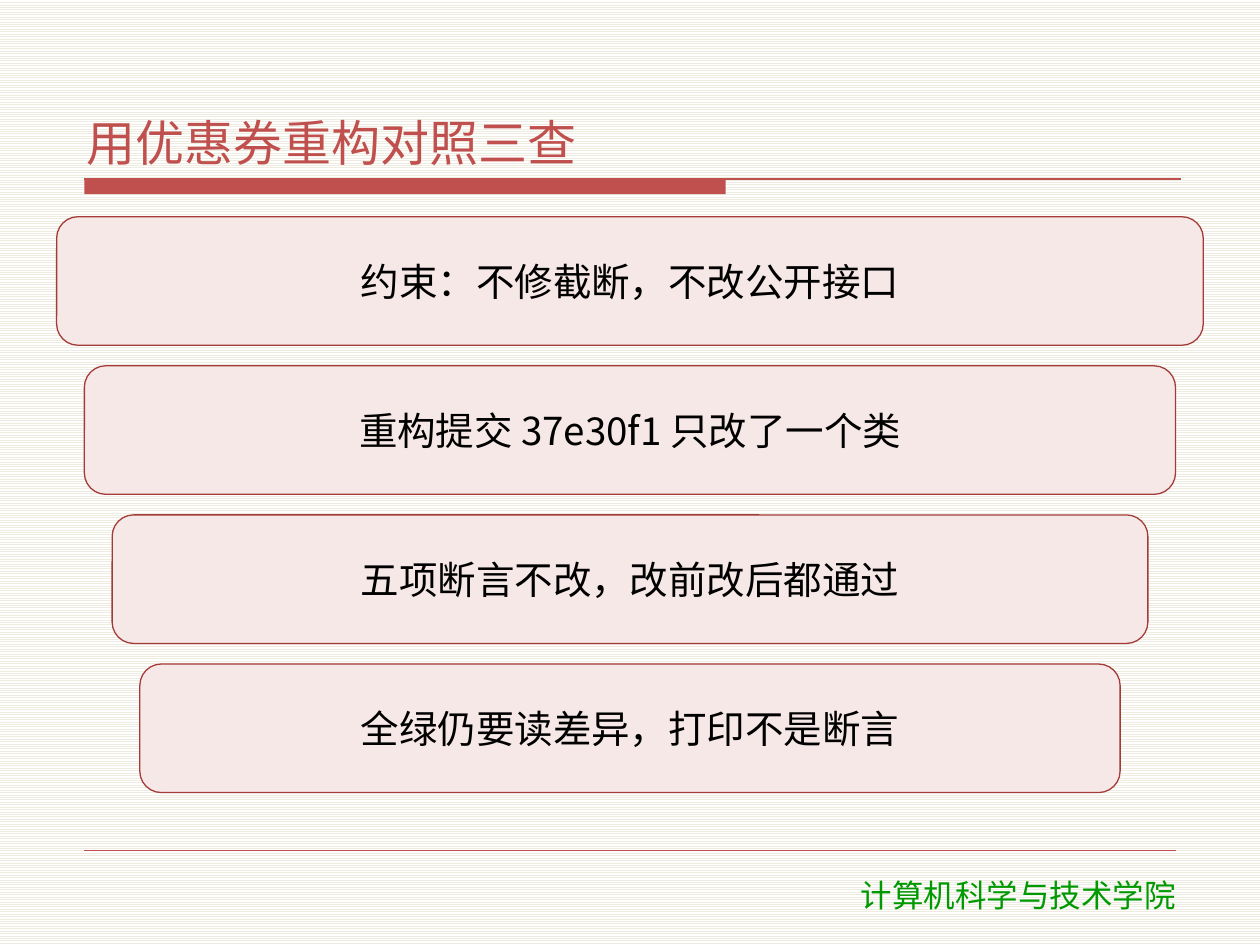
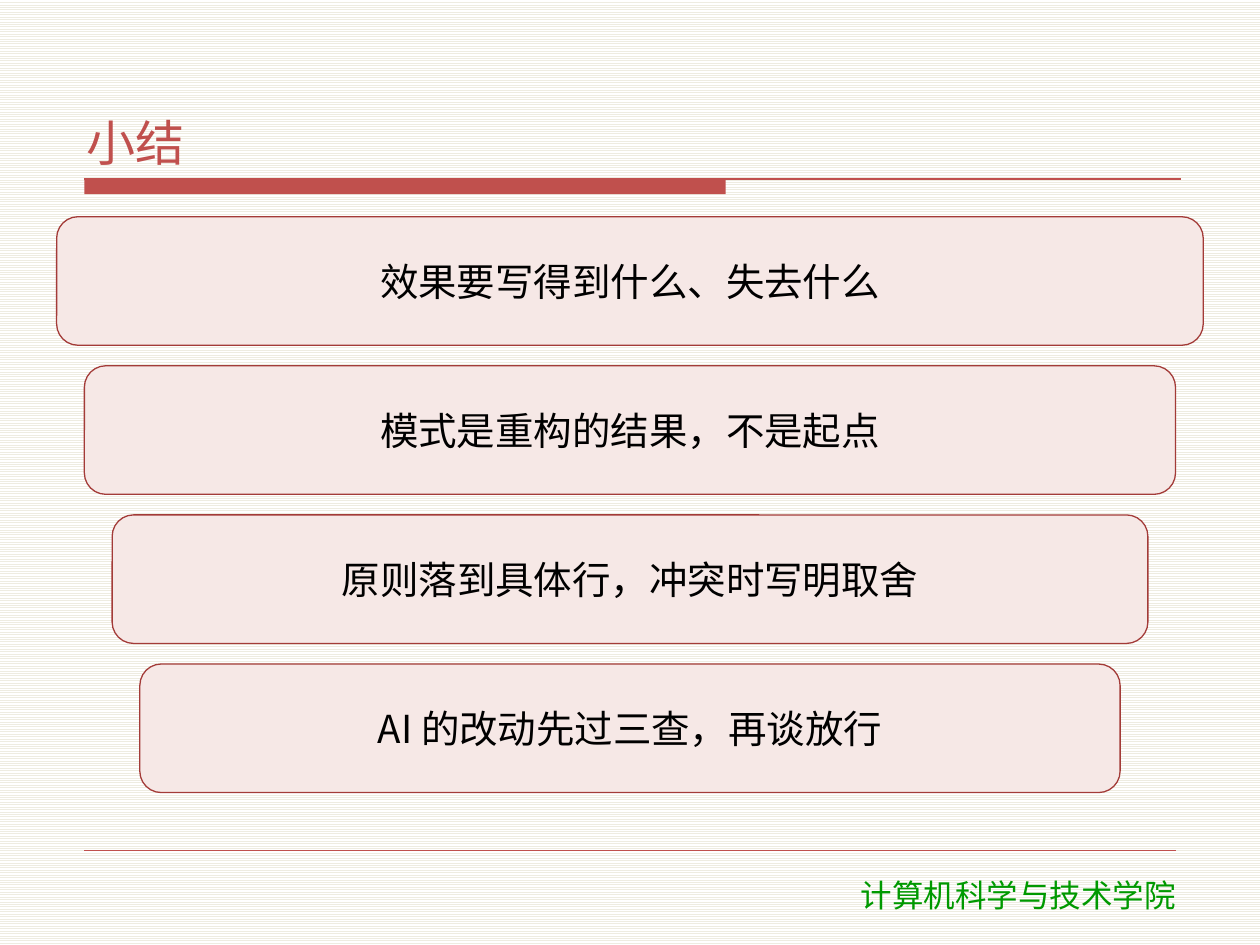
from lxml.etree import SubElement
from pptx import Presentation
from pptx.dml.color import RGBColor
from pptx.enum.dml import MSO_PATTERN
from pptx.enum.lang import MSO_LANGUAGE_ID
from pptx.enum.shapes import MSO_CONNECTOR, MSO_SHAPE
from pptx.enum.text import MSO_ANCHOR, PP_ALIGN
from pptx.oxml.ns import qn
from pptx.util import Inches, Pt

COLORS = {
    "accent": "C0504D",
    "card": "F6E8E6",
    "card_line": "A33B38",
    "text": "000000",
    "footer": "009900",
    "stripe": "EEECE1",
    "paper": "FFFFFF",
}
BODY_FONT = "Noto Sans CJK SC"
FOOTER_FONT = "DejaVu Sans"
FOOTER_TEXT = "计算机科学与技术学院"

SLIDES = [
    ("用优惠券重构对照三查", [
        "约束：不修截断，不改公开接口",
        "重构提交 37e30f1 只改了一个类",
        "五项断言不改，改前改后都通过",
        "全绿仍要读差异，打印不是断言",
    ]),
    ("小结", [
        "效果要写得到什么、失去什么",
        "模式是重构的结果，不是起点",
        "原则落到具体行，冲突时写明取舍",
        "AI 的改动先过三查，再谈放行",
    ]),
]


class DeckBuilder:
    """Hold the deck style and draw elements on the current slide."""

    def __init__(self):
        self.presentation = Presentation()
        self.presentation.slide_width = Inches(10)
        self.presentation.slide_height = Inches(7.5)
        self.slide = None

    def color(self, name):
        return RGBColor.from_string(COLORS[name])

    def start_slide(self):
        self.slide = self.presentation.slides.add_slide(self.presentation.slide_layouts[6])
        fill = self.slide.background.fill
        fill.patterned()
        fill.pattern = MSO_PATTERN.LIGHT_HORIZONTAL
        fill.fore_color.rgb = self.color("stripe")
        fill.back_color.rgb = self.color("paper")

    def add_text(self, frame, text, size, color, font_name=BODY_FONT, alignment=PP_ALIGN.CENTER):
        frame.word_wrap = True
        paragraph = frame.paragraphs[0]
        paragraph.alignment = alignment
        run = paragraph.add_run()
        run.text = text
        font = run.font
        font.size = Pt(size)
        font.color.rgb = self.color(color)
        font.name = font_name
        font.language_id = MSO_LANGUAGE_ID.SIMPLIFIED_CHINESE
        SubElement(run._r.get_or_add_rPr(), qn("a:ea"), typeface=font_name)

    def tighten(self, frame, anchor):
        frame.vertical_anchor = anchor
        frame.margin_left = frame.margin_right = Inches(0.06)
        frame.margin_top = frame.margin_bottom = Inches(0.02)
        frame.paragraphs[0].space_after = Pt(2)

    def text_box(self, left, top, width, height):
        return self.slide.shapes.add_textbox(
            Inches(left), Inches(top), Inches(width), Inches(height)).text_frame

    def shape(self, kind, left, top, width, height, fill, line=None):
        shape = self.slide.shapes.add_shape(
            kind, Inches(left), Inches(top), Inches(width), Inches(height))
        shape.shadow.inherit = False
        shape.fill.solid()
        shape.fill.fore_color.rgb = self.color(fill)
        if line:
            shape.line.color.rgb = self.color(line)
            shape.line.width = Pt(0.75)
        else:
            shape.line.fill.background()
        return shape

    def rule(self, left, right, top, width):
        connector = self.slide.shapes.add_connector(
            MSO_CONNECTOR.STRAIGHT, Inches(left), Inches(top), Inches(right), Inches(top))
        connector.line.color.rgb = self.color("accent")
        connector.line.width = Pt(width)
        SubElement(connector._element.spPr, qn("a:effectLst"))

    def title(self, text):
        self.shape(MSO_SHAPE.RECTANGLE, 0.67, 1.42, 5.09, 0.12, "accent")
        self.rule(0.67, 9.37, 1.42, 0.75)
        frame = self.text_box(0.63, 0.33, 8.75, 1.05)
        self.tighten(frame, MSO_ANCHOR.BOTTOM)
        self.add_text(frame, text, 28, "accent", alignment=PP_ALIGN.LEFT)

    def footer(self):
        self.rule(0.67, 9.33, 6.75, 0.25)
        frame = self.text_box(6.07, 6.9, 4.02, 0.4)
        self.add_text(frame, FOOTER_TEXT, 18, "footer", FOOTER_FONT)

    def card_stack(self, points):
        top, bottom, height = 1.72, 6.29, 1.02
        step = (bottom - top - height) / (len(points) - 1)
        for index, point in enumerate(points):
            left = 0.45 + 0.22 * index
            card = self.shape(MSO_SHAPE.ROUNDED_RECTANGLE, left, top + step * index,
                              10 - 2 * left, height, "card", "card_line")
            self.tighten(card.text_frame, MSO_ANCHOR.MIDDLE)
            self.add_text(card.text_frame, point, 22, "text")


def main():
    deck = DeckBuilder()
    for title, points in SLIDES:
        deck.start_slide()
        deck.footer()
        deck.title(title)
        deck.card_stack(points)
    deck.presentation.save("out.pptx")


if __name__ == "__main__":
    main()
